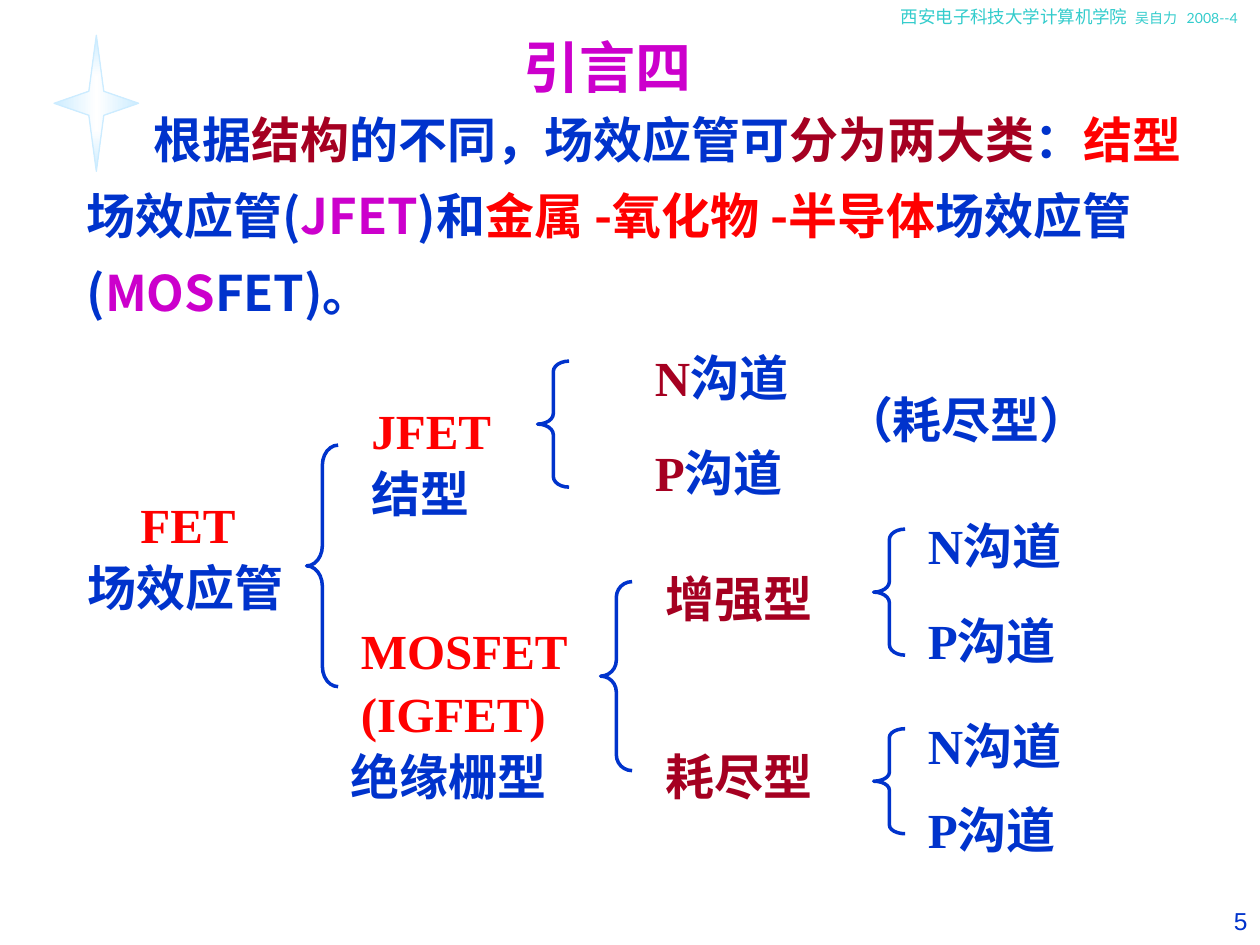
from dataclasses import dataclass

from lxml.etree import SubElement
from pptx import Presentation
from pptx.dml.color import RGBColor
from pptx.enum.shapes import MSO_SHAPE
from pptx.enum.text import MSO_AUTO_SIZE, PP_ALIGN
from pptx.oxml.ns import qn
from pptx.util import Inches, Pt

BLUE, RED, DARK_RED = "0033CC", "FF0000", "A50021"
MAGENTA, TEAL, PALE, WHITE = "CC00CC", "33CCCC", "CCECFF", "FFFFFF"
CJK, SERIF = "Noto Sans CJK SC", "Times New Roman"
UNITS_PER_INCH = 12
COLUMN_OFFSET, ROW_OFFSET = 0.2, 0.4
LABEL_HEIGHT, BRACE_WIDTH = 8, 3


@dataclass
class Box:
    """A rectangle in inches."""
    left: float
    top: float
    width: float
    height: float

    def emu(self) -> list:
        """Return the four lengths for python-pptx."""
        return [Inches(n) for n in (self.left, self.top, self.width, self.height)]


@dataclass
class Run:
    """A stretch of text in one colour and size."""
    text: str
    color: str
    size: float = 28


@dataclass
class Label:
    """A tree label placed on the twelfth-inch grid."""
    column: float
    row: float
    width: float
    runs: list


@dataclass
class Brace:
    """A left brace placed on the twelfth-inch grid."""
    column: float
    row: float
    height: float


def rgb(value: str) -> RGBColor:
    """Turn a hex string into a colour."""
    return RGBColor.from_string(value)


def grid_box(column: float, row: float, width: float, height: float) -> Box:
    """Convert grid units to inches."""
    units = (column + COLUMN_OFFSET, row + ROW_OFFSET, width, height)
    return Box(*(unit / UNITS_PER_INCH for unit in units))


def add_text(slide, box: Box, runs: list, latin: str, asian: str = CJK,
             bold: bool = True, spacing: float = 1.0, wrap: bool = True):
    """Add a one-paragraph text box and return its paragraph."""
    frame = slide.shapes.add_textbox(*box.emu()).text_frame
    frame.word_wrap = wrap
    frame.auto_size = MSO_AUTO_SIZE.SHAPE_TO_FIT_TEXT
    paragraph = frame.paragraphs[0]
    paragraph.line_spacing = spacing
    for item in runs:
        run = paragraph.add_run()
        run.text = item.text
        run.font.name = latin
        run.font.size = Pt(item.size)
        run.font.bold = bold
        run.font.color.rgb = rgb(item.color)
        SubElement(run.font._element, qn("a:ea"), typeface=asian)
    return paragraph


def add_label(slide, label: Label) -> None:
    """Draw one label of the tree."""
    box = grid_box(label.column, label.row, label.width, LABEL_HEIGHT)
    add_text(slide, box, label.runs, SERIF, spacing=1.2)


def add_brace(slide, brace: Brace) -> None:
    """Draw one brace whose curls take a twelfth of its height."""
    box = grid_box(brace.column, brace.row, BRACE_WIDTH, brace.height)
    shape = slide.shapes.add_shape(MSO_SHAPE.LEFT_BRACE, *box.emu())
    shape.shadow.inherit = False
    shape.adjustments[0] = brace.height / 12 / BRACE_WIDTH
    shape.fill.background()
    shape.line.color.rgb = rgb(BLUE)
    shape.line.width = Pt(2)


def add_star(slide, box: Box) -> None:
    """Draw the four-point star, lit from its centre."""
    star = slide.shapes.add_shape(MSO_SHAPE.STAR_4_POINT, *box.emu())
    star.shadow.inherit = False
    star.adjustments[0] = 0.125
    star.line.color.rgb = rgb(PALE)
    star.line.width = Pt(0)
    star.fill.gradient()
    for stop, color in zip(star.fill.gradient_stops, (WHITE, PALE)):
        stop.color.rgb = rgb(color)
    gradient = star._element.spPr.find(qn("a:gradFill"))
    gradient.remove(gradient.find(qn("a:lin")))
    focus = SubElement(gradient, qn("a:path"), {"path": "rect"})
    SubElement(focus, qn("a:fillToRect"), dict.fromkeys("ltrb", "50000"))


def add_header(slide) -> None:
    """Draw the credit line with its parts on tab stops."""
    runs = [Run("西安电子科技大学计算机学院", TEAL, 10),
            Run("\t吴自力\t2008--4", TEAL, 8)]
    paragraph = add_text(slide, Box(7.05, 0, 2.95, 0.4), runs, "Lato", bold=False)
    tabs = SubElement(paragraph._p.get_or_add_pPr(), qn("a:tabLst"))
    for position in (1.86, 2.27):
        SubElement(tabs, qn("a:tab"), pos=str(Inches(position)), algn="l")


def add_introduction(slide) -> None:
    """Draw the opening paragraph with an indented first line."""
    runs = [Run("根据", BLUE), Run("结构", DARK_RED),
            Run("的不同，场效应管可", BLUE), Run("分为两大类", DARK_RED),
            Run("：", BLUE), Run("结型", RED), Run("场效应管(", BLUE),
            Run("JFET", MAGENTA), Run(")和", BLUE),
            Run("金属 -氧化物 -半导体", RED), Run("场效应管(", BLUE),
            Run("MOS", MAGENTA), Run("FET)。", BLUE)]
    font = "Noto Sans CJK JP"
    paragraph = add_text(slide, Box(0.59, 0.68, 9.06, 1.92), runs, font, font,
                         spacing=1.3)
    paragraph._p.get_or_add_pPr().set("indent", str(Inches(0.53)))


def channel_labels(column: float, rows: tuple, letter_color: str) -> list:
    """Return the N and P channel labels of one branch."""
    return [Label(column, row, 17, [Run(letter, letter_color), Run("沟道", BLUE)])
            for letter, row in zip("NP", rows)]


LABELS = [
    Label(12, 45, 17, [Run("FET", RED)]),
    Label(7, 51, 23, [Run("场效应管", BLUE)]),
    Label(34, 36, 17, [Run("JFET", RED)]),
    Label(34, 42, 17, [Run("结型", BLUE)]),
    Label(33, 57, 25, [Run("MOSFET", RED)]),
    Label(33, 63, 24, [Run("(IGFET)", RED)]),
    Label(32, 69, 24, [Run("绝缘栅型", BLUE)]),
    Label(62, 52, 17, [Run("增强型", DARK_RED)]),
    Label(62, 69, 17, [Run("耗尽型", DARK_RED)]),
    Label(79, 35, 26, [Run("（耗尽型）", BLUE)]),
    *channel_labels(61, (31, 40), DARK_RED),
    *channel_labels(87, (47, 56), BLUE),
    *channel_labels(87, (66, 74), BLUE),
]
BRACES = [Brace(29, 42, 23), Brace(51, 34, 12), Brace(57, 55, 18),
          Brace(83, 50, 12), Brace(83, 69, 10)]


def main() -> None:
    """Build the slide and save it."""
    presentation = Presentation()
    presentation.slide_width, presentation.slide_height = Inches(10), Inches(7.5)
    slide = presentation.slides.add_slide(presentation.slide_layouts[6])
    add_header(slide)
    add_introduction(slide)
    for label in LABELS:
        add_label(slide, label)
    for brace in BRACES:
        add_brace(slide, brace)
    add_star(slide, Box(0.43, 0.28, 0.67, 1.08))
    add_text(slide, Box(4.06, 0.21, 1.76, 0.64), [Run("引言四", MAGENTA, 32)], CJK,
             wrap=False)
    number = add_text(slide, Box(8.7, 7.14, 1.3, 0.36), [Run("5", BLUE, 14)], "Arial",
                      bold=False)
    number.alignment = PP_ALIGN.RIGHT
    presentation.save("out.pptx")


if __name__ == "__main__":
    main()
